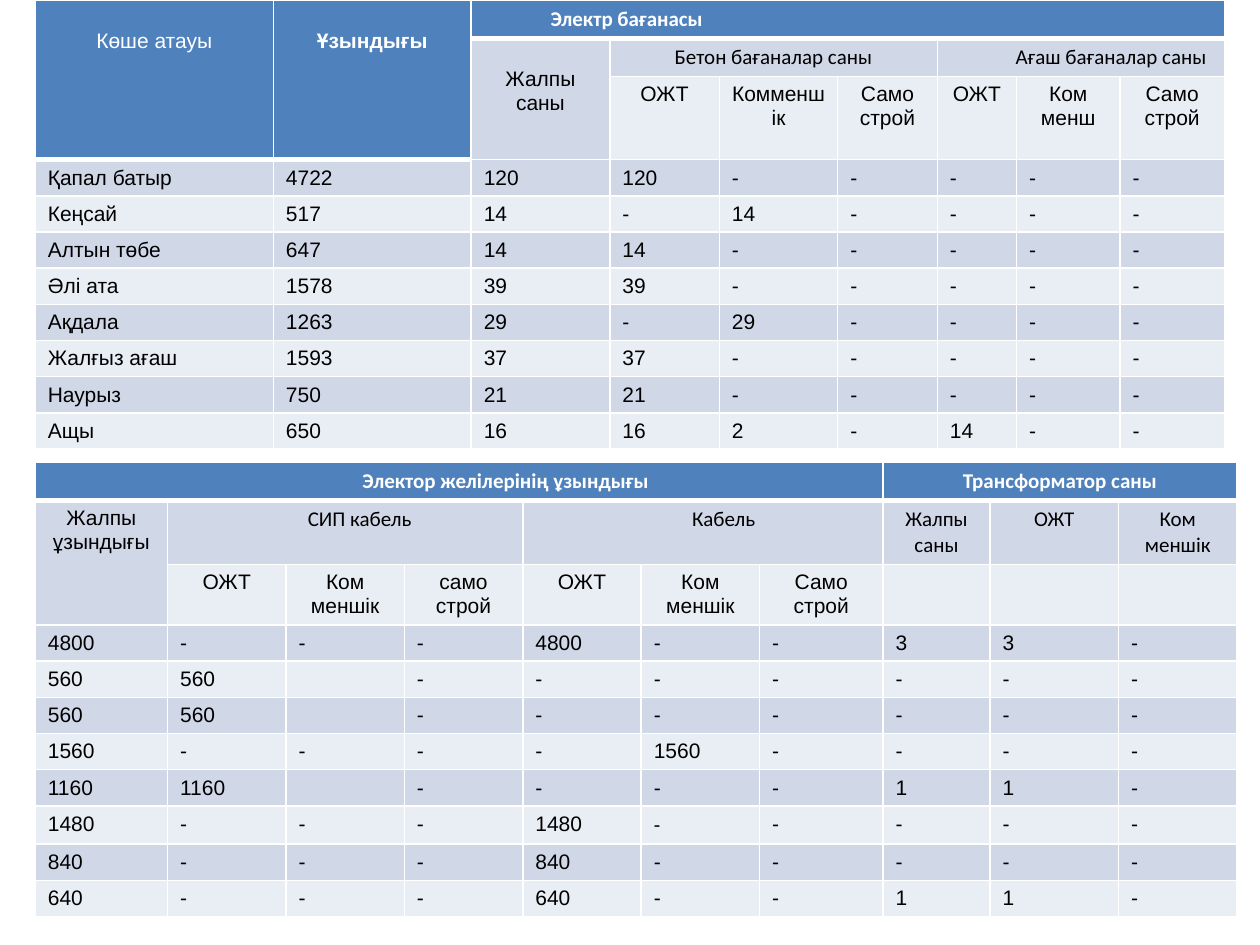
from lxml.etree import SubElement
from pptx import Presentation
from pptx.dml.color import RGBColor as RGB
from pptx.enum.text import PP_ALIGN as Align
from pptx.oxml.ns import qn
from pptx.util import Inches, Pt

BLUE = RGB(0x4F, 0x81, 0xBD)
DARK = RGB(0xD0, 0xD8, 0xE8)
PALE = RGB(0xE9, 0xED, 0xF4)
WHITE = RGB(0xFF, 0xFF, 0xFF)
BLACK = RGB(0, 0, 0)

HEADS = 3
LEFT = 2.8
BODY = 3.83

POLES = """
Көше атауы|Ұзындығы|Электр бағанасы||||||
||Жалпы саны|Бетон бағаналар саны|||Ағаш бағаналар саны||
|||ОЖТ|Комменшік|Само строй|ОЖТ|Ком менш|Само строй
Қапал батыр|4722|120|120|-|-|-|-|-
Кеңсай|517|14|-|14|-|-|-|-
Алтын төбе|647|14|14|-|-|-|-|-
Әлі ата|1578|39|39|-|-|-|-|-
Ақдала|1263|29|-|29|-|-|-|-
Жалғыз ағаш|1593|37|37|-|-|-|-|-
Наурыз|750|21|21|-|-|-|-|-
Ащы|650|16|16|2|-|14|-|-
"""

LINES = """
Электор желілерінің ұзындығы|||||||Трансформатор саны||
Жалпы ұзындығы|СИП кабель|||Кабель|||Жалпы саны|ОЖТ|Ком меншік
|ОЖТ|Ком меншік|само строй|ОЖТ|Ком меншік|Само строй|||
4800|-|-|-|4800|-|-|3|3|-
560|560||-|-|-|-|-|-|-
560|560||-|-|-|-|-|-|-
1560|-|-|-|-|1560|-|-|-|-
1160|1160||-|-|-|-|1|1|-
1480|-|-|-|1480|-|-|-|-|-
840|-|-|-|840|-|-|-|-|-
640|-|-|-|640|-|-|1|1|-
"""


class Deck:
    """Holds the slide and its style; lengths are percent of the slide."""

    def __init__(self, wide, high):
        self.prs = Presentation()
        self.prs.slide_width, self.prs.slide_height = Inches(wide), Inches(high)
        self.slide = self.prs.slides.add_slide(self.prs.slide_layouts[6])
        self.size = Pt(12)

    def across(self, share):
        return round(self.prs.slide_width * share / 100)

    def down(self, share):
        return round(self.prs.slide_height * share / 100)

    def table(self, text, top, cols, rows, spans, pads):
        """Spans map (row, column) to (height, width); pads to (left, top)."""
        data = [line.split("|") for line in text.strip().split("\n")]
        frame = self.slide.shapes.add_table(
            len(rows), len(cols), self.across(LEFT), self.down(top),
            self.across(sum(cols)), self.down(sum(rows)))
        grid = frame.table
        grid.horz_banding = False
        for col, share in zip(grid.columns, cols):
            col.width = self.across(share)
        for row, share in zip(grid.rows, rows):
            row.height = self.down(share)
        home = {}
        for (r, c), (high, wide) in spans.items():
            grid.cell(r, c).merge(grid.cell(r + high - 1, c + wide - 1))
            home.update({(r + i, c + j): r
                         for i in range(high) for j in range(wide)})
        for r, line in enumerate(data):
            for c, word in enumerate(line):
                cell = grid.cell(r, c)
                first = home.get((r, c), r)
                self.paint(cell, first, r == 0)
                if not cell.is_spanned:
                    tall = spans.get((r, c), (1, 1))[0] > 1
                    self.label(cell, word, r, tall)
                if (r, c) in pads:
                    left, above = pads[r, c]
                    cell.margin_left = self.across(left)
                    cell.margin_top = self.down(above)
        return grid

    def paint(self, cell, band, edge):
        cell.fill.solid()
        cell.fill.fore_color.rgb = BLUE if band == 0 else (PALE, DARK)[band % 2]
        props = cell._tc.get_or_add_tcPr()
        sides = "LRTB" if edge else "LRB"
        for at, side in enumerate(sides):
            width = 3 if side == "B" and band == 0 else 1
            line = SubElement(props, qn(f"a:ln{side}"), w=str(Pt(width)))
            fill = SubElement(line, qn("a:solidFill"))
            SubElement(fill, qn("a:srgbClr"), val=str(WHITE))
            props.insert(at, line)

    def label(self, cell, word, row, tall):
        cell.text = word
        para = cell.text_frame.paragraphs[0]
        para.alignment = Align.CENTER if row < HEADS else Align.LEFT
        font = para.font
        font.size = self.size
        font.name = "Arial" if tall or row > 1 else "Calibri"
        font.bold = row == 0
        font.color.rgb = WHITE if row == 0 else BLACK

    def save(self):
        self.prs.save("out.pptx")


def main():
    deck = Deck(10, 7.5)
    poles = deck.table(
        POLES, 0,
        [18.9, 15.7, 11, 8.7, 9.4, 7.9, 6.3, 8.2, 8.3],
        [4, 4, 8.8] + [BODY] * 8,
        {(0, 0): (3, 1), (0, 1): (3, 1), (0, 2): (1, 7),
         (1, 2): (2, 1), (1, 3): (1, 3), (1, 6): (1, 3)},
        {(0, 0): (1, 3.1), (0, 1): (1, 3.1), (0, 2): (6.3, 0.67),
         (1, 2): (1, 3.1), (1, 6): (5.8, 0.67)})
    poles.cell(0, 0).text_frame.paragraphs[0].font.bold = False
    poles.cell(0, 2).text_frame.paragraphs[0].alignment = Align.LEFT

    lines = deck.table(
        LINES, 48.9,
        [10.5] + [9.4] * 6 + [8.5, 10.2, 9.4],
        [4, 6.8, 6.4] + [BODY] * 8,
        {(0, 0): (1, 7), (0, 7): (1, 3), (1, 0): (2, 1),
         (1, 1): (1, 3), (1, 4): (1, 3)},
        {(0, 0): (8.4, 0.67), (1, 1): (3.3, 0.67), (1, 4): (4.3, 0.67)})
    lines.cell(8, 5).text_frame.paragraphs[0].font.name = "Calibri"
    deck.save()


if __name__ == "__main__":
    main()
